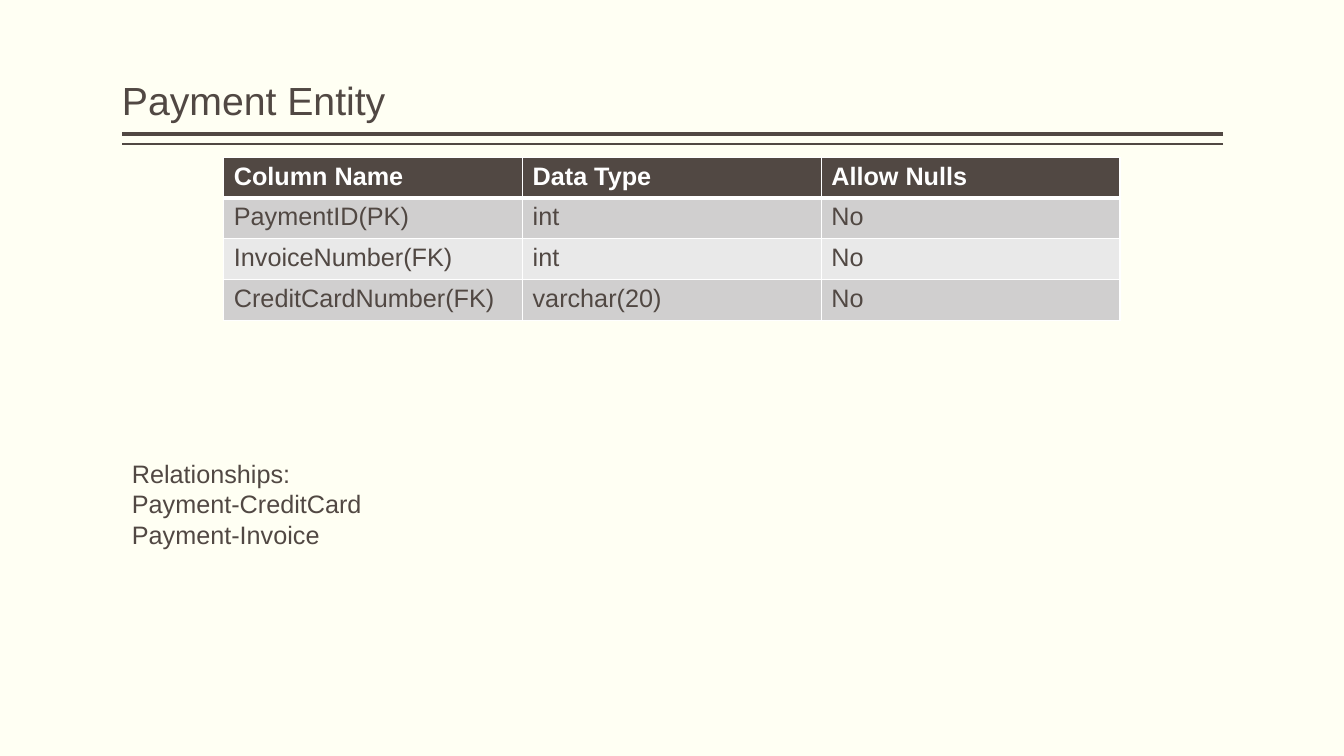
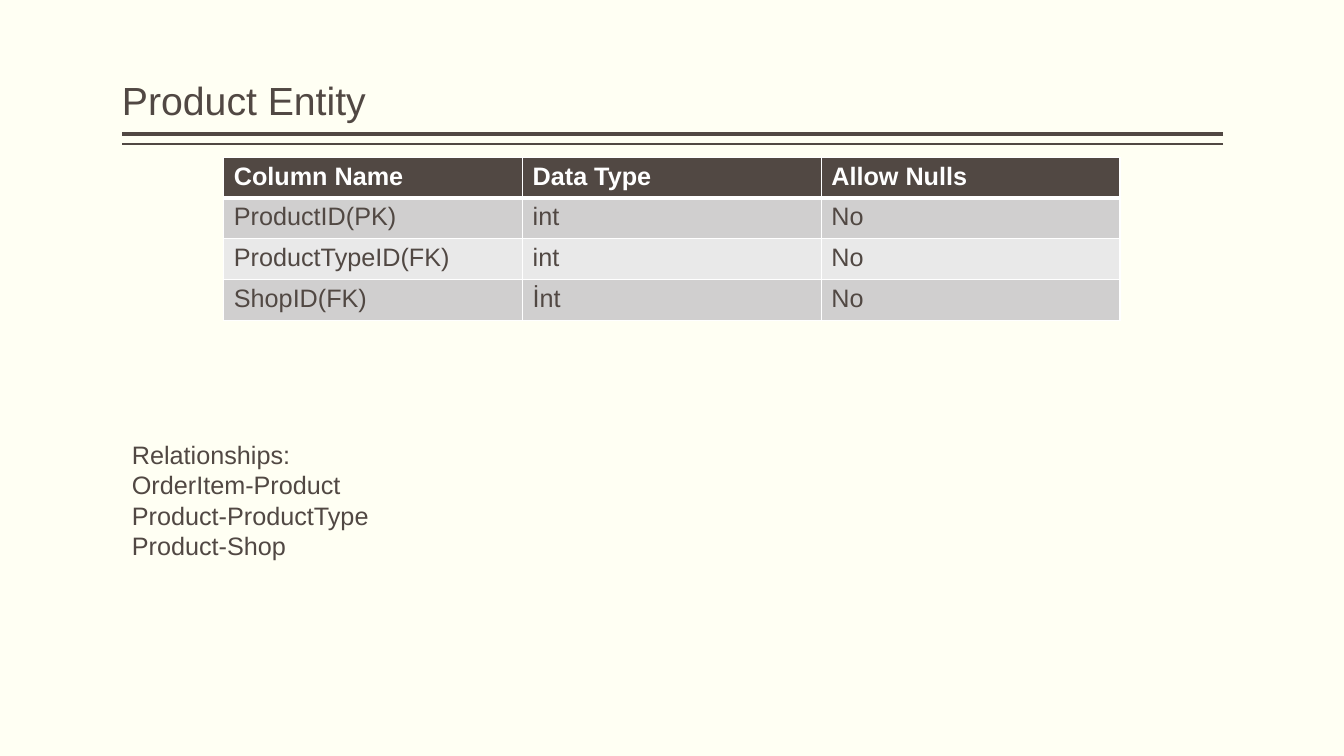
from lxml.etree import SubElement
from pptx import Presentation
from pptx.dml.color import RGBColor
from pptx.enum.shapes import MSO_CONNECTOR
from pptx.enum.text import MSO_ANCHOR, MSO_AUTO_SIZE, PP_ALIGN
from pptx.oxml.ns import qn
from pptx.util import Inches, Pt

# Shared look
FONT = "Arial"
PAPER, INK, WHITE = "FFFFF3", "514843", "FFFFFF"
BANDS = ("D0CFCF", "E9E9E9")
LEFT, CONTENT_WIDTH = 1.21, 10.92
RULES = ((1.33, 3), (1.43, 1))  # height on the slide, weight
HEADINGS = ("Column Name", "Data Type", "Allow Nulls")
TITLE_FRAME = {
    "margin_left": 0, "margin_right": 0,
    "margin_top": Inches(0.05), "margin_bottom": Inches(0.05),
    "vertical_anchor": MSO_ANCHOR.BOTTOM,
    "auto_size": MSO_AUTO_SIZE.NONE, "word_wrap": True,
}

# Content of each slide
ENTITIES = (
    {
        "title": "Payment Entity",
        "columns": (("PaymentID(PK)", "int", "No"),
                    ("InvoiceNumber(FK)", "int", "No"),
                    ("CreditCardNumber(FK)", "varchar(20)", "No")),
        "relationships": ("Payment-CreditCard", "Payment-Invoice"),
        "relationships_top": 4.5,
    },
    {
        "title": "Product Entity",
        "columns": (("ProductID(PK)", "int", "No"),
                    ("ProductTypeID(FK)", "int", "No"),
                    ("ShopID(FK)", "İnt", "No")),
        "relationships": ("OrderItem-Product", "Product-ProductType",
                          "Product-Shop"),
        "relationships_top": 4.31,
    },
)


def color(hex_code):
    return RGBColor.from_string(hex_code)


def set_values(target, values):
    for name, value in values.items():
        setattr(target, name, value)


def write(paragraph, text, size=18, hex_code=INK, bold=False):
    run = paragraph.add_run()
    run.text = text
    set_values(run.font, {"name": FONT, "size": Pt(size), "bold": bold})
    run.font.color.rgb = color(hex_code)


def set_title(slide, text):
    title = slide.shapes.title
    set_values(title, {"left": Inches(LEFT), "top": Inches(0.08),
                       "width": Inches(CONTENT_WIDTH), "height": Inches(1.2)})
    set_values(title.text_frame, TITLE_FRAME)
    paragraph = title.text_frame.paragraphs[0]
    set_values(paragraph, {"alignment": PP_ALIGN.LEFT, "line_spacing": 0.9})
    write(paragraph, text, 28)


def add_title_rules(slide):
    for y, weight in RULES:
        rule = slide.shapes.add_connector(
            MSO_CONNECTOR.STRAIGHT, Inches(LEFT + CONTENT_WIDTH), Inches(y),
            Inches(LEFT), Inches(y))
        rule.line.color.rgb = color(INK)
        rule.line.width = Pt(weight)
        SubElement(rule._element.spPr, qn("a:effectLst"))


def set_borders(cell, top, bottom):
    properties = cell._tc.get_or_add_tcPr()
    for side, weight in (("L", 1), ("R", 1), ("T", top), ("B", bottom)):
        border = SubElement(properties, qn(f"a:ln{side}"), w=str(Pt(weight)))
        fill = SubElement(border, qn("a:solidFill"))
        SubElement(fill, qn("a:srgbClr"), val=WHITE)


def add_column_table(slide, columns):
    rows = (HEADINGS, *columns)
    table = slide.shapes.add_table(
        len(rows), len(HEADINGS), Inches(2.22), Inches(1.56),
        Inches(8.89), Inches(1.62)).table
    for row_index, row in enumerate(rows):
        is_header = row_index == 0
        band = INK if is_header else BANDS[(row_index - 1) % 2]
        for column_index, text in enumerate(row):
            cell = table.cell(row_index, column_index)
            set_borders(cell, top=3 if row_index == 1 else 1,
                        bottom=3 if is_header else 1)
            cell.fill.solid()
            cell.fill.fore_color.rgb = color(band)
            write(cell.text_frame.paragraphs[0], text,
                  hex_code=WHITE if is_header else INK, bold=is_header)


def add_relationships(slide, relationships, top):
    lines = ("Relationships:", *relationships)
    frame = slide.shapes.add_textbox(
        Inches(LEFT), Inches(top), Inches(10.15),
        Inches(0.1 + 0.3 * len(lines))).text_frame
    set_values(frame, {"word_wrap": True,
                       "auto_size": MSO_AUTO_SIZE.SHAPE_TO_FIT_TEXT})
    for index, line in enumerate(lines):
        write(frame.add_paragraph() if index else frame.paragraphs[0], line)


def add_entity_slide(deck, entity):
    slide = deck.slides.add_slide(deck.slide_layouts.get_by_name("Title Only"))
    add_title_rules(slide)
    add_column_table(slide, entity["columns"])
    set_title(slide, entity["title"])
    add_relationships(slide, entity["relationships"],
                      entity["relationships_top"])


def main():
    deck = Presentation()
    set_values(deck, {"slide_width": Inches(13.33),
                      "slide_height": Inches(7.5)})
    # The master carries the paper colour for every slide
    paper = deck.slide_master.background.fill
    paper.solid()
    paper.fore_color.rgb = color(PAPER)
    for entity in ENTITIES:
        add_entity_slide(deck, entity)
    deck.save("out.pptx")


main()
